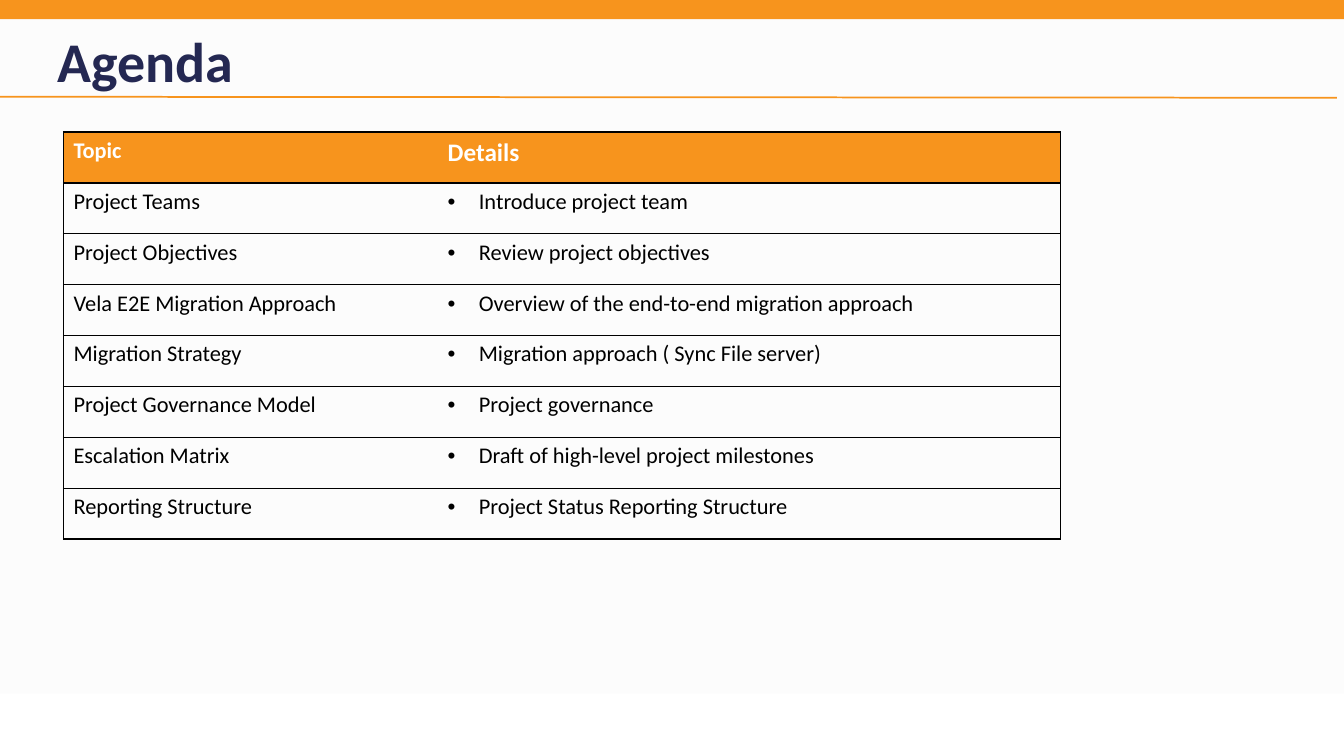
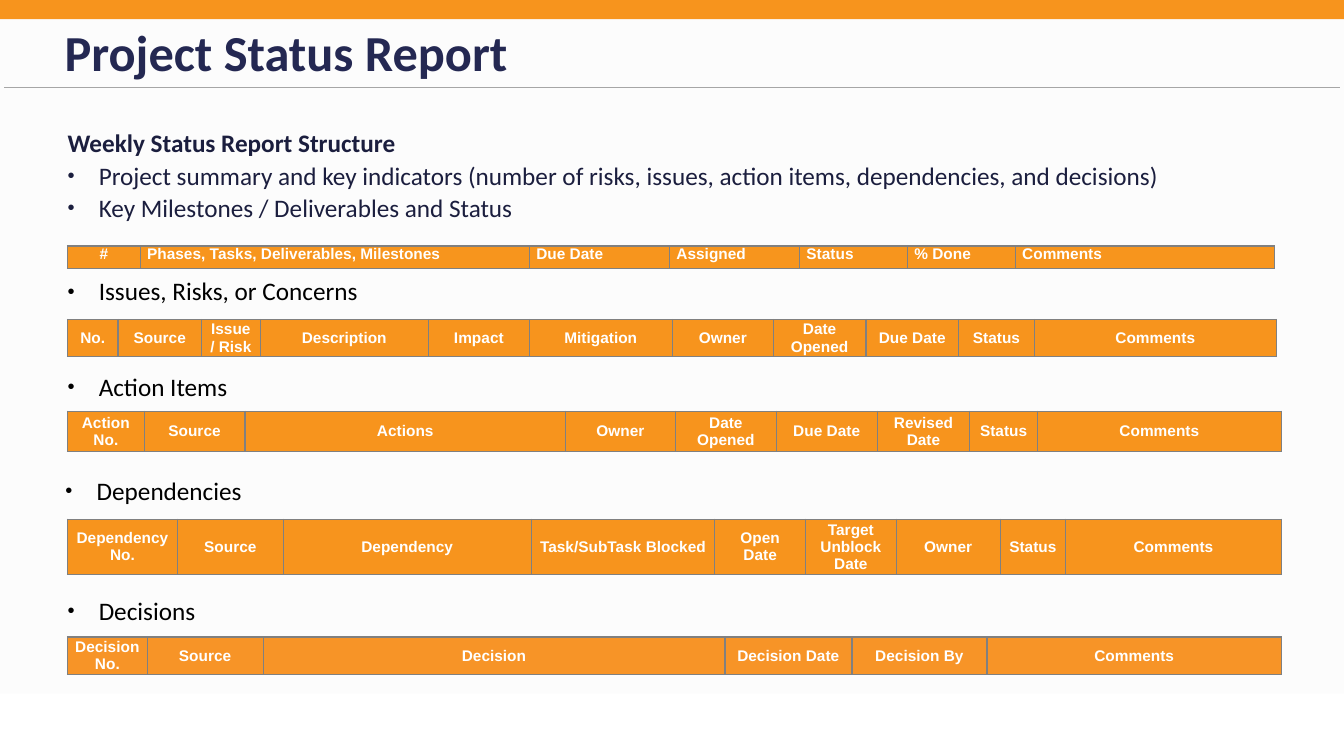
import pptx
import pptx.util
import pptx.dml.color
import pptx.enum.shapes
import pptx.enum.text
import pptx.oxml.ns
from lxml import etree

Inches = pptx.util.Inches
Pt = pptx.util.Pt
ALIGN = pptx.enum.text.PP_ALIGN
ANCHOR = pptx.enum.text.MSO_ANCHOR
qn = pptx.oxml.ns.qn

COLORS = {
    "paper": "FCFCFC",
    "white": "FFFFFF",
    "black": "000000",
    "orange": "F7941D",
    "phase_orange": "F7951D",
    "decision_orange": "F79427",
    "navy": "242852",
    "ink": "1B1E3E",
    "grid": "808080",
    "rule": "A6A6A6",
}
PLAIN_TABLE = "{2D5ABB26-0587-4C30-8999-92F81FD0307C}"


def rgb(name):
    return pptx.dml.color.RGBColor.from_string(COLORS[name])


class Report:
    text_font = "Calibri"
    table_font = "Arial"
    indent = 0.31

    def __init__(self):
        self.deck = pptx.Presentation()
        self.deck.slide_width = Inches(13.33)
        self.deck.slide_height = Inches(7.5)
        background = self.deck.slide_master.background.fill
        background.solid()
        background.fore_color.rgb = rgb("paper")
        self.page = None

    def add_page(self, layout, title, area, size):
        self.page = self.deck.slides.add_slide(self.deck.slide_layouts[layout])
        self.band(6.88, 0.62, "white")
        self.band(0, 0.19, "orange")
        box = self.page.shapes.title
        self.place(box, area)
        box.text_frame.vertical_anchor = ANCHOR.TOP
        para = box.text_frame.paragraphs[0]
        para.text = title
        para.alignment = ALIGN.LEFT
        self.style(para, size, "navy", True)

    def place(self, box, area):
        box.left, box.top, box.width, box.height = map(Inches, area)
        box.text_frame.word_wrap = True
        box.text_frame.auto_size = pptx.enum.text.MSO_AUTO_SIZE.NONE

    def style(self, para, size, color, bold=False, name=text_font):
        para.font.name = name
        para.font.size = Pt(size)
        para.font.bold = bold
        para.font.color.rgb = rgb(color)

    def band(self, top, height, color):
        band = self.page.shapes.add_shape(
            pptx.enum.shapes.MSO_SHAPE.RECTANGLE,
            0, Inches(top), self.deck.slide_width, Inches(height))
        band.shadow.inherit = False
        band.fill.solid()
        band.fill.fore_color.rgb = rgb(color)
        band.line.fill.background()

    def rule(self, start, end, color, width):
        rule = self.page.shapes.add_connector(
            pptx.enum.shapes.MSO_CONNECTOR.STRAIGHT, *map(Inches, start + end))
        rule.line.color.rgb = rgb(color)
        rule.line.width = Pt(width)
        etree.SubElement(rule._element.spPr, qn("a:effectLst"))

    def bullet(self, para, percent=100):
        properties = para._p.get_or_add_pPr()
        properties.set("marL", str(Inches(self.indent)))
        properties.set("indent", str(-Inches(self.indent)))
        etree.SubElement(properties, qn("a:buSzPct"), val=str(percent * 1000))
        etree.SubElement(properties, qn("a:buFont"), typeface="Arial")
        etree.SubElement(properties, qn("a:buChar"), char="•")

    def no_bullet(self, para):
        properties = para._p.get_or_add_pPr()
        properties.set("marL", "0")
        properties.set("indent", "0")
        etree.SubElement(properties, qn("a:buNone"))

    def fill_list(self, box, area, items, color, heading=None):
        self.place(box, area)
        frame = box.text_frame
        frame.margin_left = frame.margin_right = 0
        frame.margin_top = frame.margin_bottom = 0
        frame.vertical_anchor = ANCHOR.TOP
        lines = ([heading] if heading else []) + items
        for index, text in enumerate(lines):
            para = frame.add_paragraph() if index else frame.paragraphs[0]
            para.text = text
            if text == heading:
                self.no_bullet(para)
            else:
                self.bullet(para, 80)
            para.line_spacing = 0.9
            para.space_before = Pt(3.6 if index else 0)
            self.style(para, 18, color, text == heading)

    def body_list(self, area, heading, items):
        self.fill_list(self.page.placeholders[1], area, items, "ink", heading)

    def label(self, left, top, text):
        area = (left, top, 12.03, 0.27)
        box = self.page.shapes.add_textbox(*map(Inches, area))
        self.fill_list(box, area, [text], "black")

    def table(self, left, top, widths, rows, row_height):
        table = self.page.shapes.add_table(
            rows, len(widths), Inches(left), Inches(top),
            Inches(sum(widths)), Inches(row_height * rows)).table
        table.first_row = table.horz_banding = False
        table._tbl.tblPr.find(qn("a:tableStyleId")).text = PLAIN_TABLE
        for column, width in zip(table.columns, widths):
            column.width = Inches(width)
        for row in table.rows:
            row.height = Inches(row_height)
        return table

    def cell(self, cell, text, fill, sides, border):
        if fill:
            cell.fill.solid()
            cell.fill.fore_color.rgb = rgb(fill)
        else:
            cell.fill.background()
        properties = cell._tc.get_or_add_tcPr()
        for index, side in enumerate(sides):
            line = etree.Element(qn("a:ln" + side), w=str(Pt(1)))
            solid = etree.SubElement(line, qn("a:solidFill"))
            etree.SubElement(solid, qn("a:srgbClr"), val=COLORS[border])
            properties.insert(index, line)
        para = cell.text_frame.paragraphs[0]
        para.text = text
        return para

    def agenda_table(self, left, top, widths, height, rows):
        table = self.table(left, top, widths, len(rows), height / len(rows))
        for row, texts in enumerate(rows):
            for column, text in enumerate(texts):
                header = row == 0
                para = self.cell(table.cell(row, column), text,
                                 "orange" if header else None,
                                 "RTB" if column else "LTB", "black")
                if column and not header:
                    self.bullet(para)
                self.style(para, 18 if header and column else 16,
                           "white" if header else "black", header)

    def header_table(self, top, height, fill, columns, centred=True):
        widths = [width for _, width in columns]
        table = self.table(0.67, top, widths, 1, height)
        for index, (text, _) in enumerate(columns):
            cell = table.cell(0, index)
            cell.margin_left = cell.margin_right = Inches(0.07)
            cell.margin_top = cell.margin_bottom = 0
            cell.vertical_anchor = ANCHOR.MIDDLE if centred else ANCHOR.TOP
            para = self.cell(cell, text, fill, "LRTB", "grid")
            para.alignment = ALIGN.CENTER if centred or index == 0 else ALIGN.LEFT
            self.style(para, 11, "white", True, self.table_font)


AGENDA = [
    ("Topic", "Details"),
    ("Project Teams", "Introduce project team"),
    ("Project Objectives", "Review project objectives"),
    ("Vela E2E Migration Approach", "Overview of the end-to-end migration approach"),
    ("Migration Strategy", "Migration approach ( Sync File server)"),
    ("Project Governance Model", "Project governance"),
    ("Escalation Matrix", "Draft of high-level project milestones"),
    ("Reporting Structure", "Project Status Reporting Structure"),
]
PHASES = [
    ("#", 0.72), ("Phases, Tasks, Deliverables, Milestones", 3.86),
    ("Due Date", 1.39), ("Assigned", 1.29), ("Status", 1.07),
    ("% Done", 1.07), ("Comments", 2.57),
]
ISSUES = [
    ("No.", 0.5), ("Source", 0.83), ("Issue / Risk", 0.58),
    ("Description", 1.67), ("Impact", 1), ("Mitigation", 1.42), ("Owner", 1),
    ("Date Opened", 0.92), ("Due Date", 0.92), ("Status", 0.75),
    ("Comments", 2.4),
]
ACTIONS = [
    ("Action No.", 0.76), ("Source", 1), ("Actions", 3.18), ("Owner", 1.09),
    ("Date Opened", 1), ("Due Date", 1), ("Revised Date", 0.92),
    ("Status", 0.67), ("Comments", 2.42),
]
DEPENDENCIES = [
    ("Dependency No.", 1.09), ("Source", 1.05), ("Dependency", 2.46),
    ("Task/SubTask Blocked", 1.82), ("Open Date", 0.9),
    ("Target Unblock Date", 0.9), ("Owner", 1.03), ("Status", 0.65),
    ("Comments", 2.14),
]
DECISIONS = [
    ("Decision No.", 0.79), ("Source", 1.15), ("Decision", 4.58),
    ("Decision Date", 1.26), ("Decision By", 1.34), ("Comments", 2.92),
]
SECTIONS = [
    ("Issues, Risks, or Concerns", 0.67, 2.77, 3.17, 0.37, "orange", ISSUES),
    ("Action Items", 0.67, 3.72, 4.08, 0.4, "orange", ACTIONS),
    ("Dependencies", 0.65, 4.75, 5.15, 0.55, "orange", DEPENDENCIES),
    ("Decisions", 0.67, 5.94, 6.32, 0.37, "decision_orange", DECISIONS),
]


def main():
    report = Report()

    report.add_page(5, "Agenda", (0.47, 0.21, 11.38, 0.77), 40)
    report.rule((0, 0.96), (13.26, 0.97), "orange", 1.25)
    report.agenda_table(0.63, 1.31, (3.71, 6.18), 4.04, AGENDA)

    report.add_page(1, "Project Status Report", (0.54, 0.16, 11.38, 0.71), 36)
    report.rule((0.04, 0.87), (13.29, 0.87), "rule", 0.75)
    report.body_list((0.67, 1.3, 12.03, 0.94), "Weekly Status Report Structure", [
        "Project summary and key indicators (number of risks, issues, "
        "action items, dependencies, and decisions)",
        "Key Milestones / Deliverables and Status",
    ])
    report.header_table(2.44, 0.22, "phase_orange", PHASES, centred=False)
    for text, left, label_top, table_top, height, fill, columns in SECTIONS:
        report.label(left, label_top, text)
        report.header_table(table_top, height, fill, columns)

    report.deck.save("out.pptx")


if __name__ == "__main__":
    main()
